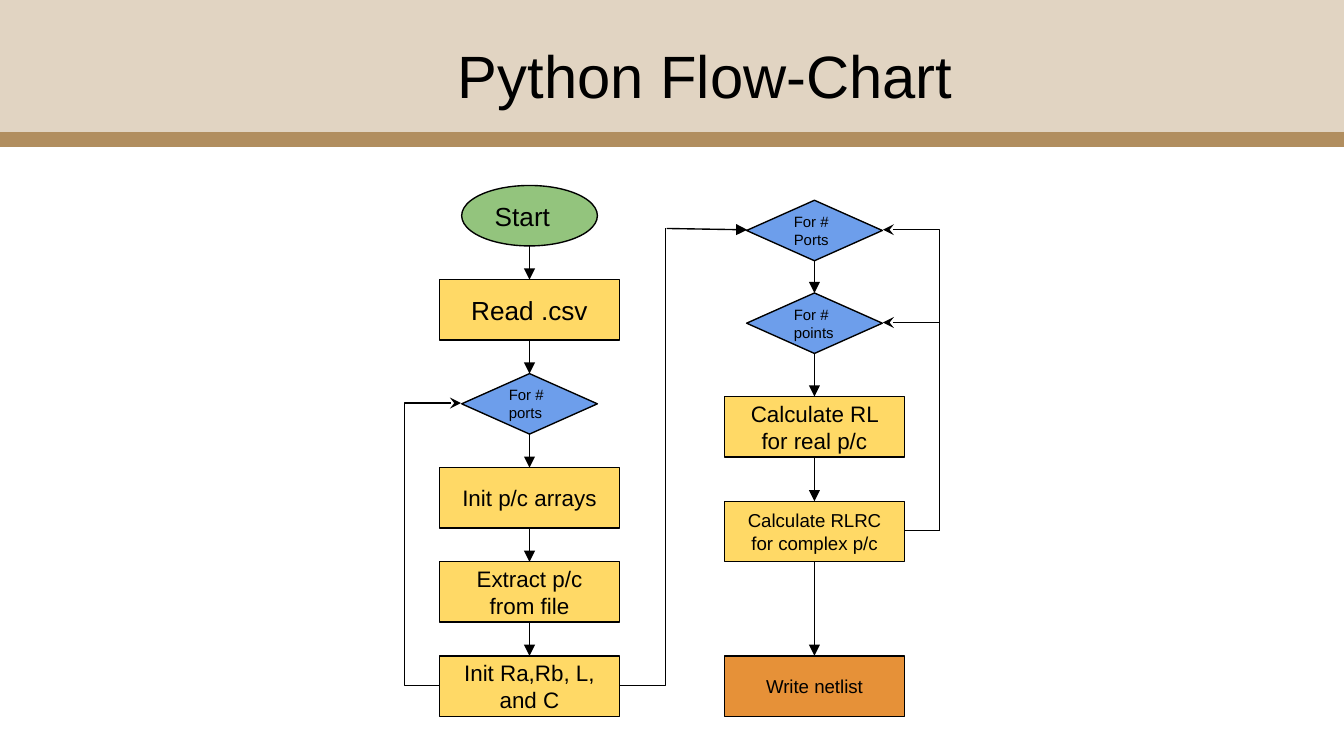
from pptx import Presentation
from pptx.dml.color import RGBColor
from pptx.enum.shapes import MSO_CONNECTOR, MSO_SHAPE
from pptx.enum.text import MSO_ANCHOR, PP_ALIGN
from pptx.oxml.ns import qn
from pptx.util import Inches, Pt
from lxml import etree

RECT, OVAL = MSO_SHAPE.RECTANGLE, MSO_SHAPE.OVAL
DIAMOND = MSO_SHAPE.FLOWCHART_DECISION
LINE, ELBOW = MSO_CONNECTOR.STRAIGHT, MSO_CONNECTOR.ELBOW
LEFT, CENTER, MIDDLE = PP_ALIGN.LEFT, PP_ALIGN.CENTER, MSO_ANCHOR.MIDDLE

BLACK = RGBColor(0x00, 0x00, 0x00)
TAN = RGBColor(0xB1, 0x8E, 0x5F)
YELLOW = RGBColor(0xFF, 0xD9, 0x66)
ORANGE = RGBColor(0xE6, 0x91, 0x38)
BLUE = RGBColor(0x6D, 0x9E, 0xEB)
GREEN = RGBColor(0x93, 0xC4, 0x7D)

# Wide slide, 16 by 9
deck = Presentation()
deck.slide_width = Inches(10)
deck.slide_height = Inches(10) * 9 // 16
slide = deck.slides.add_slide(deck.slide_layouts[5])
shapes = slide.shapes


def style(para, size, align):
    para.alignment = align
    para.font.name, para.font.size = "Arial", Pt(size)
    para.font.color.rgb = BLACK


def link(start, end, head=None, via=None, color=BLACK, width=0.75):
    """Draw a straight line, or an elbow whose upright runs at x = via."""
    kind = LINE if via is None else ELBOW
    line = shapes.add_connector(kind, *map(Inches, start + end))
    line.line.color.rgb, line.line.width = color, Pt(width)
    props = line._element.spPr
    if via is not None:
        ratio = (via - start[0]) / (end[0] - start[0])
        guides = props.find(qn("a:prstGeom")).find(qn("a:avLst"))
        etree.SubElement(guides, qn("a:gd"), name="adj1",
                         fmla=f"val {round(ratio * 100000)}")
    if head:
        etree.SubElement(props.find(qn("a:ln")), qn("a:tailEnd"), type=head)
    etree.SubElement(props, qn("a:effectLst"))


# Header band with its rule
band = shapes.add_shape(RECT, 0, 0, Inches(10), Inches(1.06))
band.shadow.inherit = False
band.fill.solid()
band.fill.fore_color.rgb = TAN
band.line.fill.background()
tint = band._element.spPr.find(qn("a:solidFill"))[0]
etree.SubElement(tint, qn("a:alpha"), val="38000")
link((0, 1.04), (10, 1.04), color=TAN, width=8)

# Title, brought in front of the band
title = shapes.title
title.left, title.top = Inches(0.59), Inches(0.24)
title.width, title.height = Inches(9.32), Inches(0.63)
title.text_frame.text = "Python Flow-Chart"
title.text_frame.vertical_anchor = MIDDLE
style(title.text_frame.paragraphs[0], 32, CENTER)
band._element.getparent().append(title._element)

# Flow steps: two columns, each from top to bottom
HIGH, BOX, GEM = 0.45, 1.34, 1.01
columns = [
    (3.94, [
        (1.38, OVAL, GREEN, "Start", 14),
        (2.08, RECT, YELLOW, "Read .csv", 14),
        (2.78, DIAMOND, BLUE, "For # ports", 8),
        (3.48, RECT, YELLOW, "Init p/c arrays", 12),
        (4.18, RECT, YELLOW, "Extract p/c from file", 12),
        (4.88, RECT, YELLOW, "Init Ra,Rb, L, and C", 12),
    ]),
    (6.06, [
        (1.49, DIAMOND, BLUE, "For # Ports", 8),
        (2.18, DIAMOND, BLUE, "For # points", 8),
        (2.95, RECT, YELLOW, "Calculate RL for real p/c", 12),
        (3.73, RECT, YELLOW, "Calculate RLRC for complex p/c", 10),
        (4.88, RECT, ORANGE, "Write netlist", 10),
    ]),
]
for mid, steps in columns:
    for top, form, color, text, size in steps:
        wide = BOX if form == RECT else GEM
        step = shapes.add_shape(form, Inches(mid - wide / 2), Inches(top),
                                Inches(wide), Inches(HIGH))
        step.shadow.inherit = False
        step.fill.solid()
        step.fill.fore_color.rgb = color
        step.line.color.rgb, step.line.width = BLACK, Pt(0.75)
        frame = step.text_frame
        frame.word_wrap, frame.vertical_anchor = True, MIDDLE
        frame.margin_left = frame.margin_right = Inches(0.1)
        frame.margin_top = frame.margin_bottom = Inches(0.1)
        frame.text = text
        style(frame.paragraphs[0], size, CENTER if form == RECT else LEFT)

    # Arrows from each step down to the next
    for above, below in zip(steps, steps[1:]):
        link((mid, above[0] + HIGH), (mid, below[0]), "triangle")

# Path from the left column to the right one
link((4.61, 5.1), (4.95, 1.7), via=4.95)
link((4.96, 1.7), (5.56, 1.71), "triangle")

# Loops back to the decisions
for start, end, via in [
    ((6.73, 3.95), (6.57, 1.71), 6.99),
    ((6.73, 3.95), (6.57, 2.4), 6.99),
    ((3.27, 5.1), (3.43, 3), 3.01),
]:
    link(start, end, "stealth", via)

deck.save("out.pptx")
